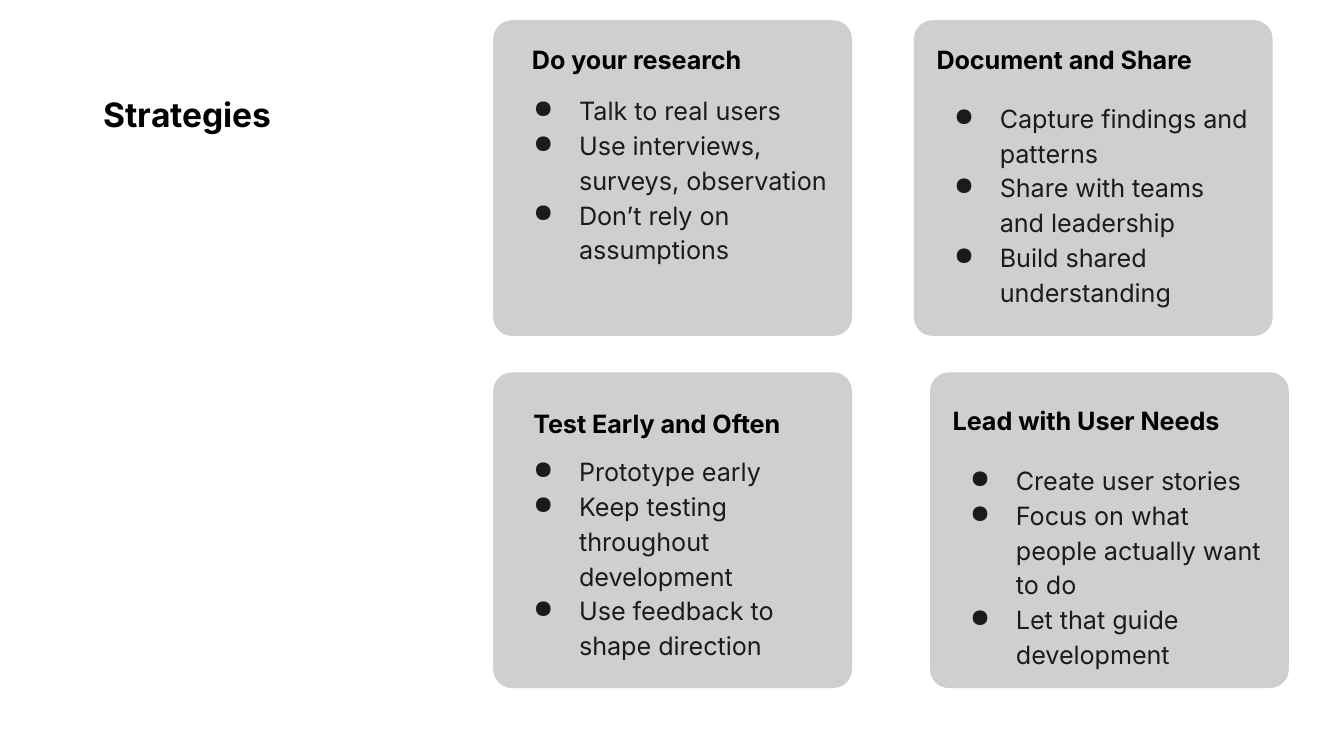
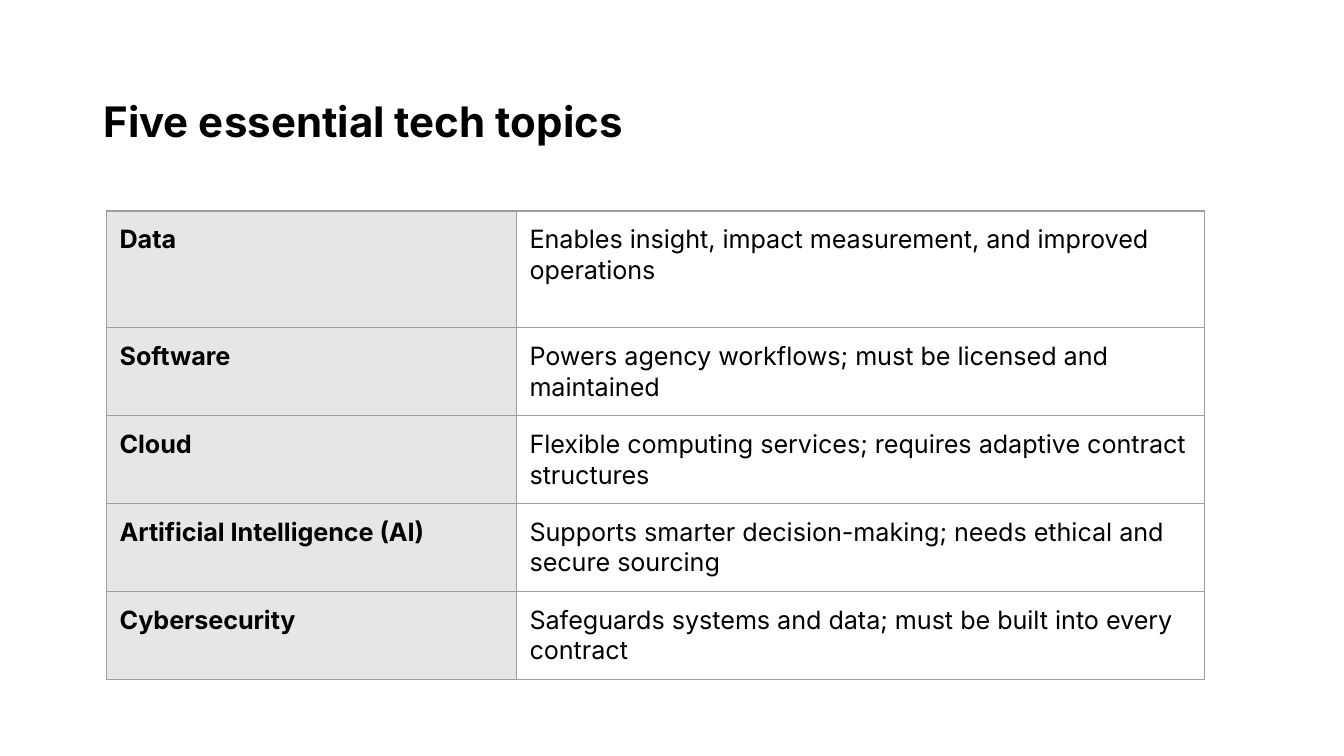
import pptx
import pptx.util
import pptx.oxml
import pptx.dml.color
import pptx.enum.shapes
import pptx.enum.text
from lxml import etree

Pt = pptx.util.Pt
WIDE, HIGH = 10, 5.625
UNIT = WIDE / 100  # the slide is a grid of 100 columns; rows are as tall
COLORS = {"ink": "000000", "soft": "1B1B1B", "card": "CFCFCF",
          "label": "E7E6E6", "rule": "9E9E9E"}
FONT = "Inter"
SIZE = 13.5
CARD = (26.7, 23.5)
ROWS = (1.5, 27.7)

# Card: place, heading box inside the card, extra space above list, texts
CARDS = [
    ((36.7, ROWS[0]), (1.9, 1.3, 23.6, 2.5), 0, "Do your research",
     ["Talk to real users", "Use interviews, surveys, observation",
      "Don’t rely on assumptions"]),
    ((36.7, ROWS[1]), (2, 2.2, 27, 2.5), 3.9, "Test Early and Often",
     ["Prototype early", "Keep testing throughout development",
      "Use feedback to shape direction"]),
    ((68, ROWS[0]), (0.7, 1.3, 27, 2.5), 3.7, "Document and Share",
     ["Capture findings and patterns", "Share with teams and leadership",
      "Build shared understanding"]),
    ((69.2, ROWS[1]), (0.7, 0.3, 27, 5.8), 5.2, "Lead with User Needs",
     ["Create user stories", "Focus on what people actually want to do",
      "Let that guide development"]),
]
TOPICS = [
    ("Data", "Enables insight, impact measurement, and improved operations"),
    ("Software", "Powers agency workflows; must be licensed and maintained"),
    ("Cloud", "Flexible computing services; requires adaptive contract structures"),
    ("Artificial Intelligence (AI)",
     "Supports smarter decision-making; needs ethical and secure sourcing"),
    ("Cybersecurity",
     "Safeguards systems and data; must be built into every contract"),
]


def grid(*cells):
    return [pptx.util.Inches(cell * UNIT) for cell in cells]


def color(name):
    return pptx.dml.color.RGBColor.from_string(COLORS[name])


def apply(item, **values):
    for key, value in values.items():
        setattr(item, key, value)


def write(para, text, size=SIZE, bold=False, tint="ink", gap=None):
    run = para.add_run()
    run.text = text
    apply(run.font, name=FONT, size=Pt(size), bold=bold)
    run.font.color.rgb = color(tint)
    apply(para, alignment=pptx.enum.text.PP_ALIGN.LEFT, line_spacing=gap,
          space_before=Pt(0))


def frame(shape, side=1, top=0.5, base=0.5):
    left, head, foot = grid(side, top, base)
    apply(shape.text_frame, word_wrap=True,
          auto_size=pptx.enum.text.MSO_AUTO_SIZE.NONE,
          vertical_anchor=pptx.enum.text.MSO_ANCHOR.MIDDLE,
          margin_left=left, margin_right=left,
          margin_top=head, margin_bottom=foot)
    return shape.text_frame


def bullet(para):
    props = para._p.get_or_add_pPr()
    indent, hang = grid(5, -3.4)
    props.set("marL", str(indent))
    props.set("indent", str(hang))
    space = pptx.oxml.ns.qn
    tint = etree.SubElement(props, space("a:buClr"))
    etree.SubElement(tint, space("a:srgbClr"), val=COLORS["soft"])
    etree.SubElement(props, space("a:buChar"), char="●")


def title(slide, text, box, size):
    shape = slide.shapes.title
    left, top, width, height = grid(*box)
    apply(shape, left=left, top=top, width=width, height=height)
    write(frame(shape).paragraphs[0], text, size, True, gap=1.2)


def card(slide, place, inner, drop, head, items):
    # Panel with its list
    shape = slide.shapes.add_shape(
        pptx.enum.shapes.MSO_SHAPE.ROUNDED_RECTANGLE, *grid(*place, *CARD))
    shape.shadow.inherit = False
    shape.adjustments[0] = 0.06
    shape.fill.solid()
    shape.fill.fore_color.rgb = color("card")
    shape.line.fill.background()
    text = frame(shape, top=1 + drop, base=1)
    for i, item in enumerate(items):
        para = text.add_paragraph() if i else text.paragraphs[0]
        bullet(para)
        write(para, item, tint="soft", gap=1.15)
    # Heading
    x, y, width, height = inner
    label = slide.shapes.add_textbox(
        *grid(place[0] + x, place[1] + y, width, height))
    write(frame(label).paragraphs[0], head, bold=True, gap=1.32)


def border(cell):
    props = cell._tc.get_or_add_tcPr()
    space = pptx.oxml.ns.qn
    for i, side in enumerate(("lnL", "lnR", "lnT", "lnB")):
        line = etree.Element(space("a:" + side), w=str(Pt(0.75)))
        fill = etree.SubElement(line, space("a:solidFill"))
        etree.SubElement(fill, space("a:srgbClr"), val=COLORS["rule"])
        props.insert(i, line)


def table(slide, box, cols, rows):
    grille = slide.shapes.add_table(len(rows), len(cols), *grid(*box)).table
    apply(grille, first_row=False, horz_banding=False)
    for col, width in zip(grille.columns, grid(*cols)):
        col.width = width
    for row, height in zip(grille.rows, grid(*rows)):
        row.height = height
    pad = grid(1)[0]
    for r, topic in enumerate(TOPICS):
        for c, text in enumerate(topic):
            cell = grille.cell(r, c)
            apply(cell, margin_left=pad, margin_right=pad,
                  margin_top=pad, margin_bottom=pad)
            if c == 0:
                cell.fill.solid()
                cell.fill.fore_color.rgb = color("label")
            else:
                cell.fill.background()
            border(cell)
            write(cell.text_frame.paragraphs[0], text, bold=c == 0)


def main():
    deck = pptx.Presentation()
    apply(deck, slide_width=pptx.util.Inches(WIDE),
          slide_height=pptx.util.Inches(HIGH))
    plain = deck.slide_layouts[5]

    # Strategies
    slide = deck.slides.add_slide(plain)
    title(slide, "Strategies", (6.7, 6.7, 28.4, 3), 18)
    for entry in CARDS:
        card(slide, *entry)

    # Tech topics
    slide = deck.slides.add_slide(plain)
    title(slide, "Five essential tech topics", (6.7, 6.7, 42, 3.8), 22.5)
    cols = (30.5, 51.2)
    rows = [8.7] + [6.5] * (len(TOPICS) - 1)
    table(slide, (7.9, 15.7, sum(cols), sum(rows)), cols, rows)

    deck.save("out.pptx")


if __name__ == "__main__":
    main()
